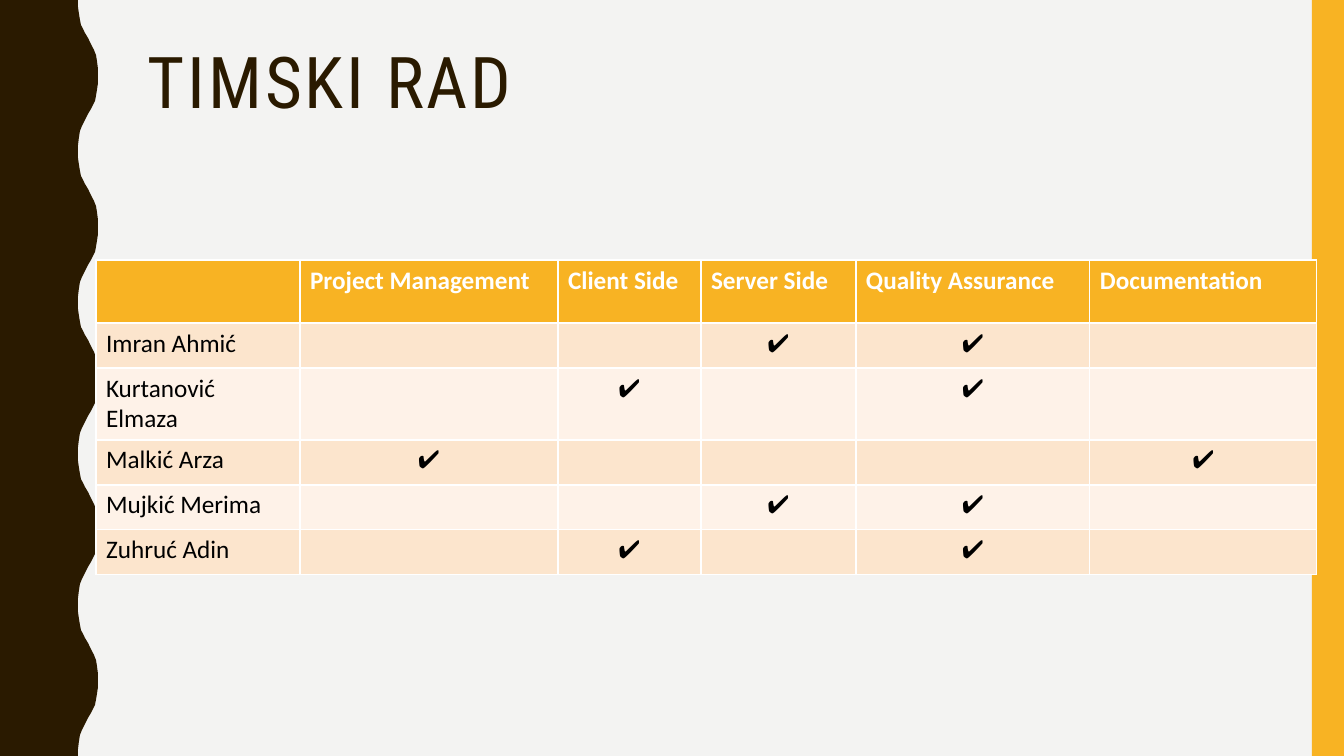
from pptx import Presentation
from pptx.dml.color import RGBColor
from pptx.enum.shapes import MSO_SHAPE
from pptx.enum.text import MSO_ANCHOR, PP_ALIGN
from pptx.util import Pt

RECT = MSO_SHAPE.RECTANGLE
TOP = MSO_ANCHOR.TOP
LEFT, CENTER = PP_ALIGN.LEFT, PP_ALIGN.CENTER
SCALE = 914400 / 100.8
WIDE, HIGH = 1344, 756
COLORS = {"back": "F3F3F2", "brown": "2A1A00", "gold": "F8B323", "white": "FFFFFF",
          "black": "000000", "odd": "FCE5CD", "even": "FEF2E8"}
BEND = [(0, 0), (0, 7), (1, 14), (2, 20), (3, 25), (5, 29), (7, 33), (10, 38),
        (12, 42), (14, 46), (16, 50), (18, 55), (19, 61), (20, 69)]
HALVES = 10
TICK = "\u2714"
ROLES = ["Project Management", "Client Side", "Server Side", "Quality Assurance", "Documentation"]
TEAM = [("Imran Ahmić", (3, 4)), ("Kurtanović Elmaza", (2, 4)), ("Malkić Arza", (1, 5)),
        ("Mujkić Merima", (3, 4)), ("Zuhruć Adin", (2, 4))]
COLS = [204, 258, 143, 155, 234, 227]
ROWS = [63, 45, 72, 45, 45, 45]


def px(num):
    """Turn pixels into EMU."""
    return round(num * SCALE)


def tint(name):
    """Return the named colour."""
    return RGBColor.from_string(COLORS[name])


def paint(shape, name):
    """Give a shape a flat fill with no line or shadow."""
    shape.fill.solid()
    shape.fill.fore_color.rgb = tint(name)
    shape.line.fill.background()
    shape.shadow.inherit = False


def style(para, face, size, color, bold=False):
    """Set the font of a paragraph."""
    font = para.font
    font.name, font.size, font.bold = face, Pt(size), bold
    font.color.rgb = tint(color)


def add_wave(slide, left, top, width, height):
    """Draw the band with a wavy right edge."""
    depth = BEND[-1][0]
    edge = left + width - depth
    points = []
    for half in range(HALVES):
        start = top + round(half * height / HALVES)
        for out, down in BEND:
            points.append((edge + (depth - out if half % 2 else out), start + down))
    points += [(edge, top + height), (left, top + height)]
    form = slide.shapes.build_freeform(left, top, scale=SCALE)
    form.add_line_segments(points, close=True)
    paint(form.convert_to_shape(), "brown")


def add_bar(slide, left, top, width, height):
    """Draw the gold bar."""
    bar = slide.shapes.add_shape(RECT, px(left), px(top), px(width), px(height))
    paint(bar, "gold")


def add_title(slide, left, top, width, height):
    """Write the heading."""
    frame = slide.shapes.add_textbox(px(left), px(top), px(width), px(height)).text_frame
    frame.word_wrap = True
    frame.vertical_anchor = TOP
    para = frame.paragraphs[0]
    para.line_spacing = 0.9
    run = para.add_run()
    run.text = "TIMSKI RAD"
    run._r.get_or_add_rPr().set("spc", "200")
    style(para, "Roboto Condensed", 51, "brown")


def add_grid(slide, left, top, width, height):
    """Build the table of members and roles."""
    data = [[""] + ROLES]
    for name, marks in TEAM:
        data.append([name] + [TICK if col in marks else "" for col in range(1, len(COLS))])
    grid = slide.shapes.add_table(len(ROWS), len(COLS), px(left), px(top),
                                  px(width), px(height)).table
    for col, size in zip(grid.columns, COLS):
        col.width = px(size)
    for num, (row, size) in enumerate(zip(grid.rows, ROWS)):
        row.height = px(size)
        head = num == 0
        fill = "gold" if head else "odd" if num % 2 else "even"
        for cell, text in zip(row.cells, data[num]):
            cell.fill.solid()
            cell.fill.fore_color.rgb = tint(fill)
            cell.text = text
            para = cell.text_frame.paragraphs[0]
            para.alignment = CENTER if text == TICK else LEFT
            style(para, "Calibri", 18, "white" if head else "black", head)


def main():
    """Build and save the slide."""
    deck = Presentation()
    deck.slide_width, deck.slide_height = px(WIDE), px(HIGH)
    slide = deck.slides.add_slide(deck.slide_layouts[6])
    slide.background.fill.solid()
    slide.background.fill.fore_color.rgb = tint("back")
    add_wave(slide, 0, 0, 98, HIGH)
    add_bar(slide, 1312, 0, 32, HIGH)
    add_title(slide, 138, 42, 1122, 164)
    add_grid(slide, 96, 260, sum(COLS), sum(ROWS))
    deck.save("out.pptx")


main()
